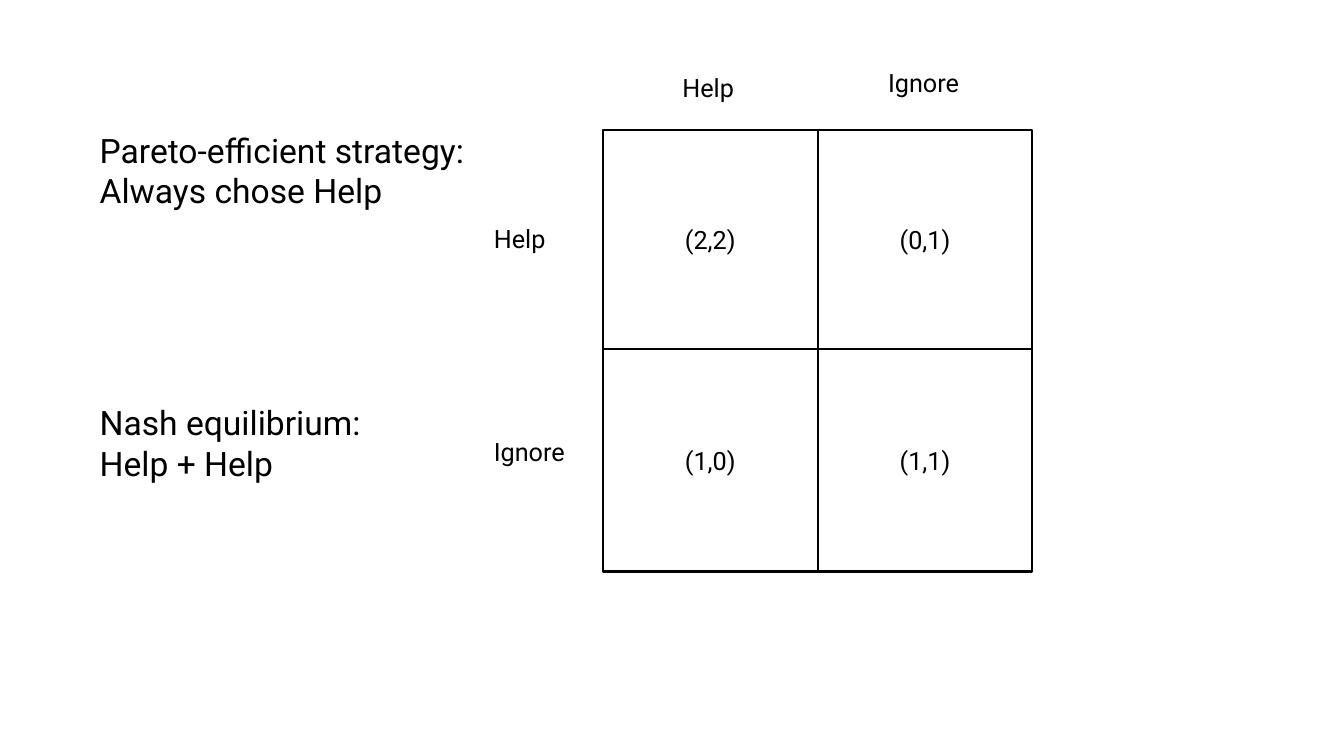
"""Build a slide with a two-player payoff matrix and its two solution notes."""
import dataclasses

import pptx
import pptx.dml.color
import pptx.enum.shapes
import pptx.enum.text
import pptx.util


@dataclasses.dataclass(frozen=True)
class Theme:
    font: str = "Roboto"
    ink: pptx.dml.color.RGBColor = pptx.dml.color.RGBColor(0, 0, 0)
    paper: pptx.dml.color.RGBColor = pptx.dml.color.RGBColor(255, 255, 255)
    label_size: int = 18
    note_size: int = 24
    border: float = 1.5


theme = Theme()
Inches = pptx.util.Inches


def write(shape, lines, size, alignment):
    shape.text_frame.word_wrap = True
    shape.text_frame.text = "\n".join(lines)
    for paragraph in shape.text_frame.paragraphs:
        paragraph.alignment = alignment
        paragraph.font.name = theme.font
        paragraph.font.size = pptx.util.Pt(size)
        paragraph.font.color.rgb = theme.ink


def add_text(left, top, width, height, lines, size):
    box = slide.shapes.add_textbox(Inches(left), Inches(top), Inches(width), Inches(height))
    write(box, lines, size, pptx.enum.text.PP_ALIGN.LEFT)
    box.text_frame.auto_size = pptx.enum.text.MSO_AUTO_SIZE.SHAPE_TO_FIT_TEXT


presentation = pptx.Presentation()
presentation.slide_width = Inches(13.33)
presentation.slide_height = Inches(7.5)
slide = presentation.slides.add_slide(presentation.slide_layouts[6])

matrix_left, matrix_top = 5.98, 1.29
column_width = 2.13
row_heights = [2.17, 2.21]
payoffs = [["(2,2)", "(0,1)"], ["(1,0)", "(1,1)"]]

for row, (height, row_payoffs) in enumerate(zip(row_heights, payoffs)):
    top = matrix_top + sum(row_heights[:row])
    for column, payoff in enumerate(row_payoffs):
        cell = slide.shapes.add_shape(
            pptx.enum.shapes.MSO_SHAPE.RECTANGLE,
            Inches(matrix_left + column * column_width),
            Inches(top),
            Inches(column_width),
            Inches(height),
        )
        cell.shadow.inherit = False
        cell.fill.solid()
        cell.fill.fore_color.rgb = theme.paper
        cell.line.color.rgb = theme.ink
        cell.line.width = pptx.util.Pt(theme.border)
        cell.text_frame.vertical_anchor = pptx.enum.text.MSO_ANCHOR.MIDDLE
        write(cell, [payoff], theme.label_size, pptx.enum.text.PP_ALIGN.CENTER)

row_label_left = 4.8
label_width, label_height = 0.91, 0.41
strategy_labels = [
    ("Help", row_label_left, 2.17),
    ("Help", 6.67, 0.67),
    ("Ignore", row_label_left, 4.28),
    ("Ignore", 8.71, 0.62),
]
for strategy, left, top in strategy_labels:
    add_text(left, top, label_width, label_height, [strategy], theme.label_size)

note_left, note_height = 0.89, 0.91
notes = [
    (3.94, 3.26, ["Nash equilibrium: Help + Help"]),
    (1.24, 3.9, ["Pareto-efficient strategy:", "Always chose Help"]),
]
for top, width, lines in notes:
    add_text(note_left, top, width, note_height, lines, theme.note_size)

presentation.save("out.pptx")
